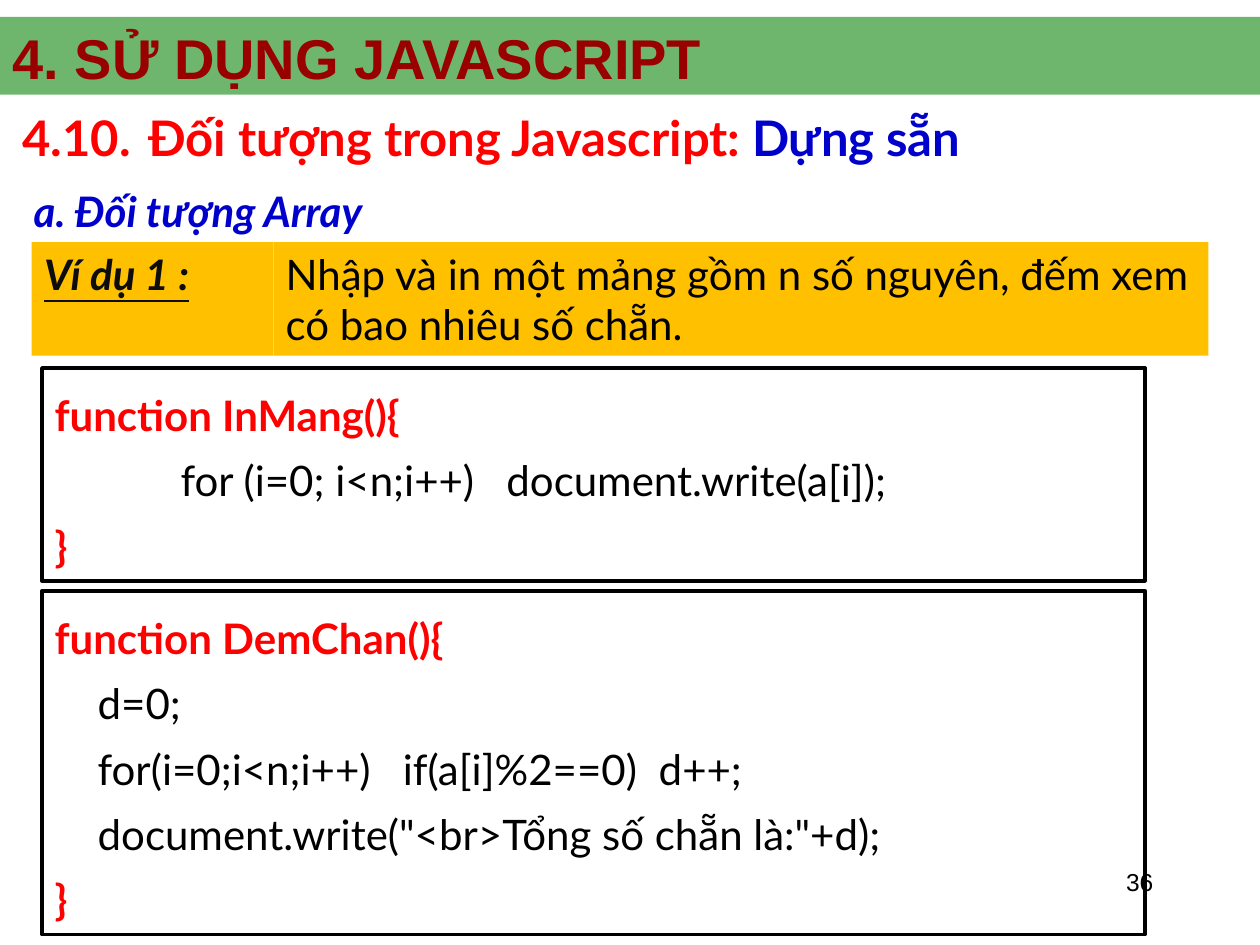
import pptx
import pptx.dml.color
import pptx.enum.shapes
import pptx.enum.text
import pptx.oxml.ns
import pptx.util
from lxml import etree

Cm, Pt = pptx.util.Cm, pptx.util.Pt
ALIGN = pptx.enum.text.PP_ALIGN
ANCHOR = pptx.enum.text.MSO_ANCHOR
COLORS = {"green": "008000", "maroon": "990000", "red": "FF0000", "blue": "0000CC",
          "amber": "FFC000", "ink": "0D0D0D", "black": "000000"}

TITLE = "4. SỬ DỤNG JAVASCRIPT"
HEADING = [("4.10.\tĐối tượng trong Javascript: ", "red"), ("Dựng sẵn", "blue")]
SUBHEADING = "a. Đối tượng Array"
EXAMPLE_LABEL = "Ví dụ 1 :"
EXAMPLE = "Nhập và in một mảng gồm n số nguyên, đếm xem có bao nhiêu số chẵn."
PAGE = "36"
FUNCTIONS = [
    {"top": 7.42, "height": 4.29, "head": "function InMang(){",
     "body": ["\tfor (i=0; i<n;i++)\tdocument.write(a[i]);"],
     "tabs": [2.54, 9.11]},
    {"top": 11.91, "height": 6.93, "head": "function DemChan(){",
     "body": ["\td=0;",
              "\tfor(i=0;i<n;i++)\tif(a[i]%2==0)\td++;",
              '\tdocument.write("<br>Tổng số chẵn là:"+d);'],
     "tabs": [0.87, 7.02, 12.18]},
]


def rgb(name):
    """Return the named colour."""
    return pptx.dml.color.RGBColor.from_string(COLORS[name])


def add_text(p, text, color="black", size=24, font="Lato", bold=False,
             italic=False, underline=False, align=None, spacing=None):
    """Append a formatted run to a paragraph."""
    r = p.add_run()
    r.text = text
    r.font.name, r.font.size = font, Pt(size)
    r.font.bold, r.font.italic, r.font.underline = bold, italic, underline
    r.font.color.rgb = rgb(color)
    p.alignment = align or ALIGN.LEFT
    if spacing:
        p.line_spacing = spacing


def place(sp, left, top, width, height):
    """Set the position and size of a shape."""
    sp.left, sp.top, sp.width, sp.height = Cm(left), Cm(top), Cm(width), Cm(height)


def add_box(s, box, fill=None, line=None):
    """Add a rectangle ready for top-left text."""
    sp = s.shapes.add_shape(pptx.enum.shapes.MSO_SHAPE.RECTANGLE, *map(Cm, box))
    sp.shadow.inherit = False
    if fill:
        sp.fill.solid()
        sp.fill.fore_color.rgb = rgb(fill)
    else:
        sp.fill.background()
    if line:
        sp.line.color.rgb = rgb(line)
        sp.line.width = Pt(2.25)
    else:
        sp.line.fill.background()
    sp.text_frame.word_wrap = True
    sp.text_frame.vertical_anchor = ANCHOR.TOP
    return sp


def add_label(s, box, anchor=ANCHOR.TOP):
    """Add a wrapping text box and return its first paragraph."""
    tf = s.shapes.add_textbox(*map(Cm, box)).text_frame
    tf.word_wrap = True
    tf.vertical_anchor = anchor
    return tf.paragraphs[0]


def set_tabs(p, stops):
    """Give a paragraph left tab stops."""
    qn = pptx.oxml.ns.qn
    tabs = etree.SubElement(p._p.get_or_add_pPr(), qn("a:tabLst"))
    for stop in stops:
        etree.SubElement(tabs, qn("a:tab"), pos=str(int(Cm(stop))), algn="l")


def add_function(s, top, height, head, body, tabs):
    """Add a framed code listing."""
    tf = add_box(s, (0.85, top, 22.23, height), line="black").text_frame
    lines = [head, *body, "}"]
    for i, text in enumerate(lines):
        p = tf.add_paragraph() if i else tf.paragraphs[0]
        outer = i in (0, len(lines) - 1)
        add_text(p, text, color="red" if outer else "black", bold=outer, spacing=1.3)
        if not outer:
            set_tabs(p, tabs)


def main():
    """Build the slide."""
    prs = pptx.Presentation()
    prs.slide_width, prs.slide_height = Cm(25.4), Cm(19.05)
    s = prs.slides.add_slide(prs.slide_layouts[5])

    add_text(add_label(s, (18.21, 17.35, 5.29, 1.27)), PAGE, size=14, font="Arial",
             align=ALIGN.RIGHT)

    bar = add_box(s, (0, 0.34, 25.4, 1.57), fill="green")
    color = bar._element.spPr.find(".//" + pptx.oxml.ns.qn("a:srgbClr"))
    etree.SubElement(color, pptx.oxml.ns.qn("a:alpha"), val="57000")

    title = s.shapes.title
    bar._element.addnext(title._element)
    place(title, 0, 0.61, 25.4, 1.07)
    tf = title.text_frame
    tf.auto_size = pptx.enum.text.MSO_AUTO_SIZE.NONE
    tf.vertical_anchor = ANCHOR.MIDDLE
    add_text(tf.paragraphs[0], TITLE, color="maroon", size=32, font="Arial", bold=True)

    p = add_label(s, (0.2, 1.91, 24.13, 1.7), ANCHOR.MIDDLE)
    for text, color in HEADING:
        add_text(p, text, color=color, size=28, bold=True)
    add_text(add_label(s, (0.43, 3.61, 10.59, 1.27)), SUBHEADING, color="blue",
             bold=True, italic=True)

    label = add_box(s, (0.64, 4.88, 4.87, 2.29), fill="amber")
    add_text(label.text_frame.paragraphs[0], EXAMPLE_LABEL, color="ink", bold=True,
             italic=True, underline=True, align=ALIGN.JUSTIFY)
    example = add_box(s, (5.51, 4.88, 18.85, 2.29), fill="amber")
    add_text(example.text_frame.paragraphs[0], EXAMPLE)

    for function in FUNCTIONS:
        add_function(s, **function)
    prs.save("out.pptx")


if __name__ == "__main__":
    main()
